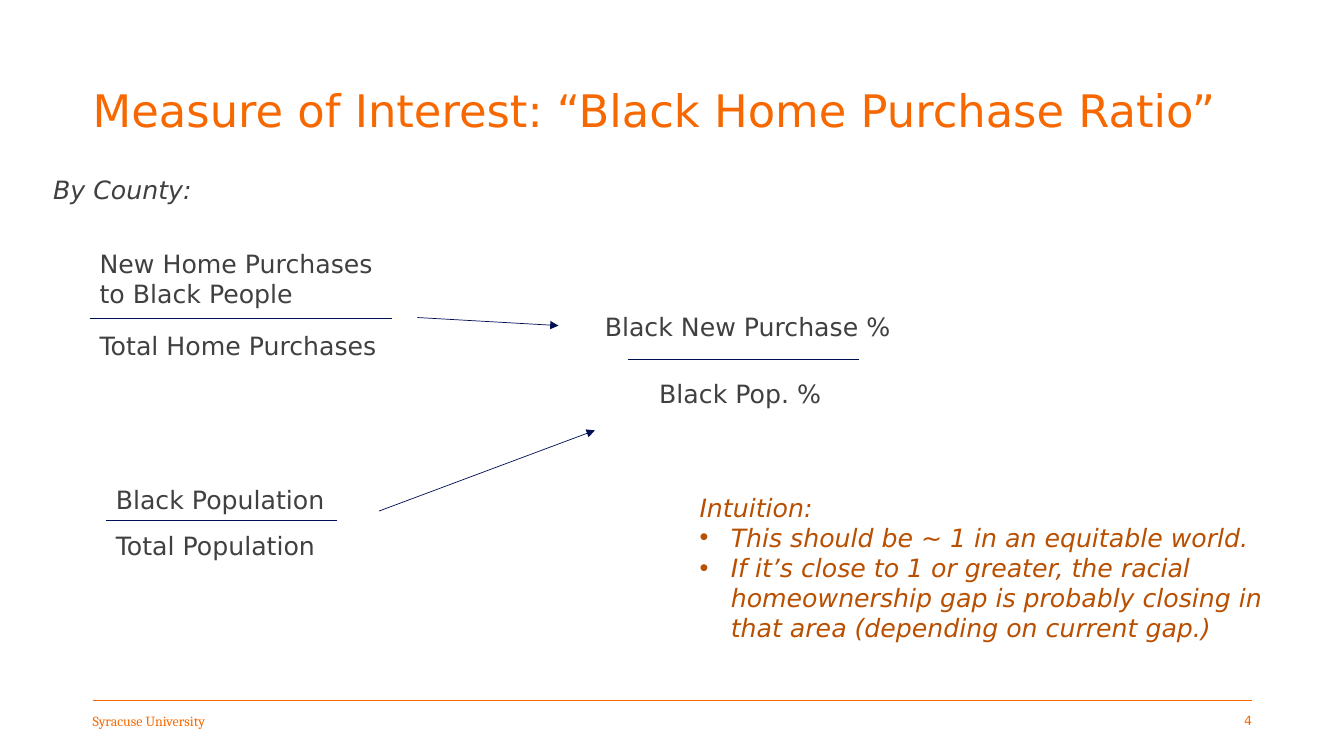
from pptx import Presentation
from pptx.dml.color import RGBColor
from pptx.enum.shapes import MSO_CONNECTOR
from pptx.enum.text import MSO_ANCHOR, MSO_AUTO_SIZE, PP_ALIGN
from pptx.oxml.ns import qn
from pptx.util import Inches, Pt
from lxml.etree import SubElement

COLORS = {"orange": "F76900", "navy": "000E54", "gray": "3F403F", "rust": "B94F00"}
SANS = "DejaVu Sans"

deck = Presentation()
deck.slide_width = Inches(13.33)
deck.slide_height = Inches(7.5)
slide = deck.slides.add_slide(deck.slide_layouts[6])


def add_text(box, lines, size=18, color="gray", font=SANS, italic=False, wrap=False, bar=False):
    frame = slide.shapes.add_textbox(*[Inches(n) for n in box]).text_frame
    frame.word_wrap = wrap
    if bar:
        frame.margin_left = frame.margin_right = 0
        frame.vertical_anchor = MSO_ANCHOR.MIDDLE
    else:
        frame.auto_size = MSO_AUTO_SIZE.SHAPE_TO_FIT_TEXT
    for i, line in enumerate(lines):
        para = frame.paragraphs[0] if i == 0 else frame.add_paragraph()
        run = para.add_run()
        run.text = line
        run.font.size = Pt(size)
        run.font.name = font
        run.font.italic = italic
        run.font.color.rgb = RGBColor.from_string(COLORS[color])
    return frame.paragraphs


def add_line(start, end, color="navy", arrow=False):
    x, y, right, low = [Inches(n) for n in start + end]
    link = slide.shapes.add_connector(MSO_CONNECTOR.STRAIGHT, x, y, right, low)
    link.line.width = Pt(0.5)
    link.line.color.rgb = RGBColor.from_string(COLORS[color])
    if arrow:
        SubElement(link.line._get_or_add_ln(), qn("a:tailEnd"), type="triangle")
    SubElement(link._element.spPr, qn("a:effectLst"))


add_line((0.92, 6.95), (12.42, 6.95), "orange")
add_text((0.92, 6.95, 2.1, 0.4), ["Syracuse University"], 10, "orange", "Cambria", wrap=True, bar=True)
page = add_text((10.32, 6.95, 2.1, 0.4), ["4"], 9, "orange", wrap=True, bar=True)
page[0].alignment = PP_ALIGN.RIGHT

title = add_text((0.92, 0.4, 11.5, 1.45), ["Measure of Interest: “Black Home Purchase Ratio”"],
                 32, "orange", wrap=True, bar=True)
title[0].line_spacing = 0.9

add_text((0.43, 1.68, 1.63, 0.4), ["By County:"], italic=True)

people = add_text((1.05, 4.76, 2.29, 0.8), ["Black Population", "Total Population"])
people[1].line_spacing = 1.5

for box, lines in [
    ((0.89, 2.41, 3.03, 0.71), ["New Home Purchases", "to Black People"]),
    ((0.89, 3.23, 3, 0.4), ["Total Home Purchases"]),
    ((5.9, 3.04, 3.11, 0.4), ["Black New Purchase %"]),
    ((6.44, 3.7, 1.87, 0.4), ["Black Pop. %"]),
]:
    add_text(box, lines)

for left, top, width in [(0.89, 3.16, 3), (1.05, 5.16, 2.29), (6.23, 3.57, 2.29)]:
    add_line((left, top), (left + width, top))

add_line((4.14, 3.15), (5.54, 3.23), arrow=True)
add_line((3.76, 5.07), (5.9, 4.27), arrow=True)

notion = add_text((6.84, 4.83, 6.02, 1.62), [
    "Intuition:",
    "This should be ~ 1 in an equitable world.",
    "If it’s close to 1 or greater, the racial homeownership gap is probably closing in "
    "that area (depending on current gap.)",
], color="rust", italic=True, wrap=True)
for para in notion[1:]:
    props = para._p.get_or_add_pPr()
    props.set("marL", str(Inches(0.31)))
    props.set("indent", str(-Inches(0.31)))
    SubElement(props, qn("a:buFont"), typeface="Arial")
    SubElement(props, qn("a:buChar"), char="•")

deck.save("out.pptx")
